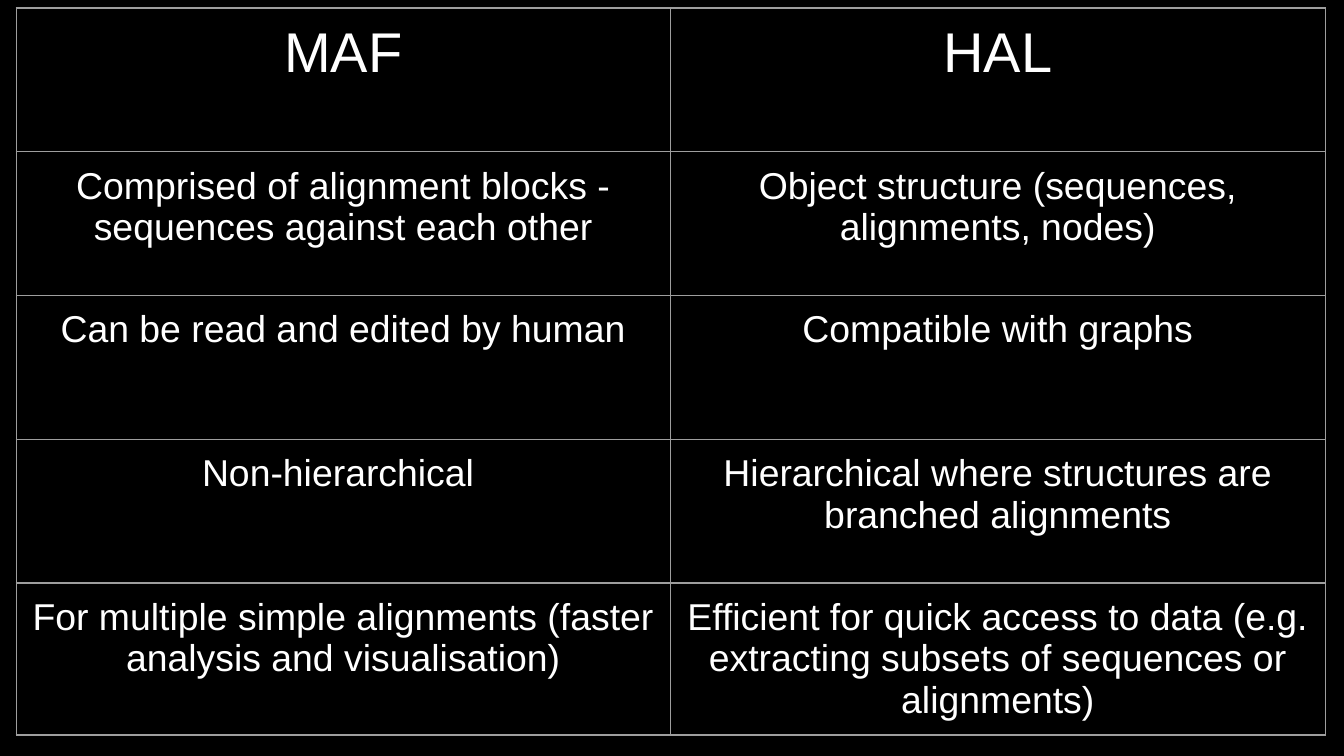
from lxml import etree
from pptx import Presentation, util as u
from pptx.dml.color import RGBColor
from pptx.enum import text
from pptx.oxml.ns import qn

BLACK = RGBColor(0x00, 0x00, 0x00)
WHITE = RGBColor(0xFF, 0xFF, 0xFF)
GREY = RGBColor(0x9E, 0x9E, 0x9E)

ROWS = [
    ("MAF", "HAL"),
    ("Comprised of alignment blocks - sequences against each other",
     "Object structure (sequences, alignments, nodes)"),
    ("Can be read and edited by human", "Compatible with graphs"),
    ("Non-hierarchical ",
     "Hierarchical where structures are branched alignments"),
    ("For multiple simple alignments (faster analysis and visualisation)",
     "Efficient for quick access to data (e.g. extracting subsets of "
     "sequences or alignments)"),
]
COL_W, ROW_H = u.Inches(4.87), u.Inches(1.07)
INSET = u.Inches(0.1)


def add_borders(cell):
    tcPr = cell._tc.get_or_add_tcPr()
    for side in ("lnL", "lnR", "lnT", "lnB"):
        ln = etree.SubElement(tcPr, qn(f"a:{side}"), w=str(u.Pt(0.75)))
        fill = etree.SubElement(ln, qn("a:solidFill"))
        etree.SubElement(fill, qn("a:srgbClr"), val=str(GREY))


prs = Presentation()
prs.slide_width = u.Inches(10)
prs.slide_height = prs.slide_width * 9 // 16
s = prs.slides.add_slide(prs.slide_layouts[6])
s.background.fill.solid()
s.background.fill.fore_color.rgb = BLACK

table = s.shapes.add_table(
    len(ROWS), 2, u.Inches(0.12), u.Inches(0.06),
    COL_W * 2, ROW_H * len(ROWS)).table
table.first_row = table.horz_banding = False
for col in table.columns:
    col.width = COL_W

for i, row in enumerate(ROWS):
    table.rows[i].height = ROW_H
    for j, words in enumerate(row):
        cell = table.cell(i, j)
        add_borders(cell)
        cell.fill.background()
        cell.margin_left = cell.margin_right = INSET
        cell.margin_top = cell.margin_bottom = INSET
        p = cell.text_frame.paragraphs[0]
        p.text = words
        p.alignment = text.PP_ALIGN.CENTER
        r = p.runs[0]
        r.font.name = "Arial"
        r.font.size = u.Pt(30 if i == 0 else 20)
        r.font.bold = False
        r.font.color.rgb = WHITE

prs.save("out.pptx")
